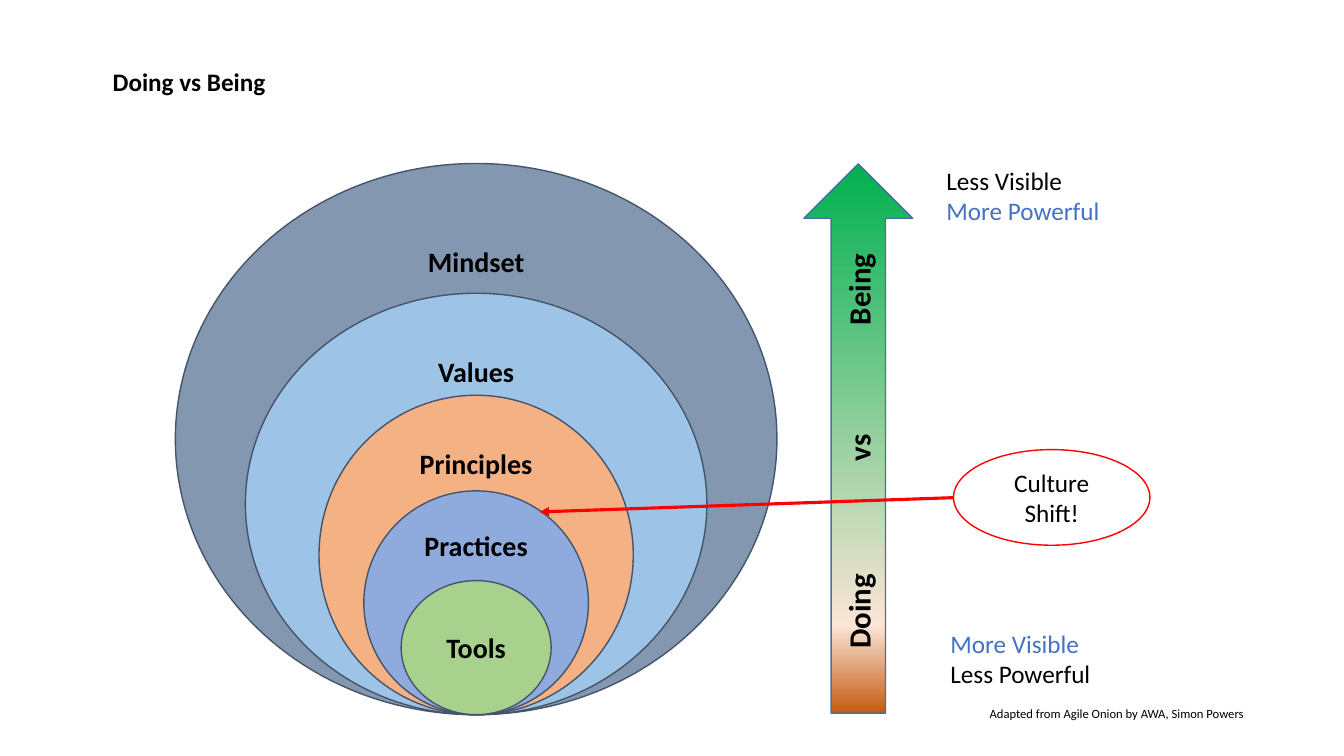
"""Build the Doing vs Being slide: nested onion layers, a gradient arrow and a callout."""
from copy import deepcopy
from dataclasses import dataclass

from lxml.etree import SubElement
from pptx import Presentation
from pptx.dml.color import RGBColor
from pptx.enum.shapes import MSO_CONNECTOR, MSO_SHAPE
from pptx.enum.text import MSO_ANCHOR, PP_ALIGN
from pptx.oxml.ns import qn
from pptx.util import Cm, Pt


@dataclass(frozen=True)
class Theme:
    font: str = "Calibri"
    black: str = "000000"
    white: str = "FFFFFF"
    blue: str = "4472C4"
    red: str = "FF0000"
    layer_line: str = "44546A"
    arrow_line: str = "43739E"
    layer_fills: tuple = ("8497B0", "9DC3E6", "F4B183", "8FAADC", "A9D18E")
    arrow_stops: tuple = ((0, "00B050"), (0.84, "FBE5D6"), (1, "C55A11"))
    credit_size: int = 9
    body_size: int = 18
    layer_size: int = 20
    arrow_size: int = 22


theme = Theme()


def write_text(shape, lines, size, bold=False, align=PP_ALIGN.LEFT, tabs=(), **frame_format):
    """Write (text, colour) lines into a shape, one paragraph each."""
    frame = shape.text_frame
    frame_format = {"word_wrap": True, "vertical_anchor": MSO_ANCHOR.TOP, **frame_format}
    for name, value in frame_format.items():
        setattr(frame, name, value)
    for index, (text, colour) in enumerate(lines):
        paragraph = frame.add_paragraph() if index else frame.paragraphs[0]
        paragraph.text = text
        paragraph.alignment = align
        if tabs:
            tab_list = SubElement(paragraph._p.get_or_add_pPr(), qn("a:tabLst"))
            for position in tabs:
                SubElement(tab_list, qn("a:tab"), pos=str(Cm(position)), algn="l")
        for run in paragraph.runs:
            for name, value in {"name": theme.font, "size": Pt(size), "bold": bold}.items():
                setattr(run.font, name, value)
            run.font.color.rgb = RGBColor.from_string(colour)


def add_outlined(kind, left, top, width, height, fill, line):
    """Add a flat preset shape with a one-point outline, placed in centimetres."""
    shape = slide.shapes.add_shape(kind, Cm(left), Cm(top), Cm(width), Cm(height))
    shape.shadow.inherit = False
    if fill:
        shape.fill.solid()
        shape.fill.fore_color.rgb = RGBColor.from_string(fill)
    shape.line.color.rgb = RGBColor.from_string(line)
    shape.line.width = Pt(1)
    return shape


presentation = Presentation()
presentation.slide_width = Cm(33.87)
presentation.slide_height = Cm(19.05)
slide = presentation.slides.add_slide(presentation.slide_layouts[6])

onion_centre, onion_bottom = 12, 18.01
layers = [
    ("Mindset", 15.16, 13.89, {"margin_top": 0}),
    ("Values", 11.63, 10.62, {"margin_top": 0}),
    ("Principles", 7.92, 8.05, {}),
    ("Practices", 5.66, 5.64, {}),
    ("Tools", 3.78, 3.38, {"vertical_anchor": MSO_ANCHOR.MIDDLE}),
]
for (label, width, height, frame_format), fill in zip(layers, theme.layer_fills):
    layer = add_outlined(MSO_SHAPE.OVAL, onion_centre - width / 2, onion_bottom - height,
                         width, height, fill, theme.layer_line)
    write_text(layer, [(label, theme.black)], theme.layer_size, bold=True,
               align=PP_ALIGN.CENTER, **frame_format)

text_boxes = [
    (2.59, 1.55, 23.88, 3.66, [("Doing vs Being", theme.black)],
     theme.body_size, {"bold": True}),
    (23.6, 4.04, 5.59, 1.8, [("Less Visible", theme.black), ("More Powerful", theme.blue)],
     theme.body_size, {}),
    (23.7, 15.7, 5.59, 1.8, [("More Visible", theme.blue), ("Less Powerful", theme.black)],
     theme.body_size, {}),
    (24.69, 17.6, 7.72, 0.66, [("Adapted from Agile Onion by AWA, Simon Powers", theme.black)],
     theme.credit_size, {"margin_top": Cm(0.25), "margin_bottom": Cm(0.25)}),
]
for left, top, width, height, lines, size, text_format in text_boxes:
    box = slide.shapes.add_textbox(Cm(left), Cm(top), Cm(width), Cm(height))
    write_text(box, lines, size, **text_format)

callout = add_outlined(MSO_SHAPE.OVAL, 24.03, 11.33, 4.95, 2.41, theme.white, theme.red)
write_text(callout, [("Culture Shift!", theme.black)], theme.body_size,
           align=PP_ALIGN.CENTER, vertical_anchor=MSO_ANCHOR.MIDDLE)

arrow = add_outlined(MSO_SHAPE.RIGHT_ARROW, 14.71, 9.68, 13.84, 2.74, None, theme.arrow_line)
arrow.rotation = 270
arrow.fill.gradient()
arrow.fill.gradient_angle = 180
stop_list = arrow._element.spPr.find(".//" + qn("a:gsLst"))
stop_list.append(deepcopy(stop_list[0]))
for stop, (position, colour) in zip(arrow.fill.gradient_stops, theme.arrow_stops):
    stop.position = position
    stop.color.rgb = RGBColor.from_string(colour)
write_text(arrow, [("Doing\tvs\tBeing", theme.black)], theme.arrow_size, bold=True,
           tabs=(4.72, 8.15), margin_left=Cm(1.63), vertical_anchor=MSO_ANCHOR.MIDDLE)

pointer = slide.shapes.add_connector(MSO_CONNECTOR.STRAIGHT, Cm(24.03), Cm(12.54),
                                     Cm(13.6), Cm(12.9))
pointer.line.color.rgb = RGBColor.from_string(theme.red)
pointer.line.width = Pt(2.25)
SubElement(pointer.line._get_or_add_ln(), qn("a:tailEnd"), type="triangle")
SubElement(pointer._element.spPr, qn("a:effectLst"))

presentation.save("out.pptx")
